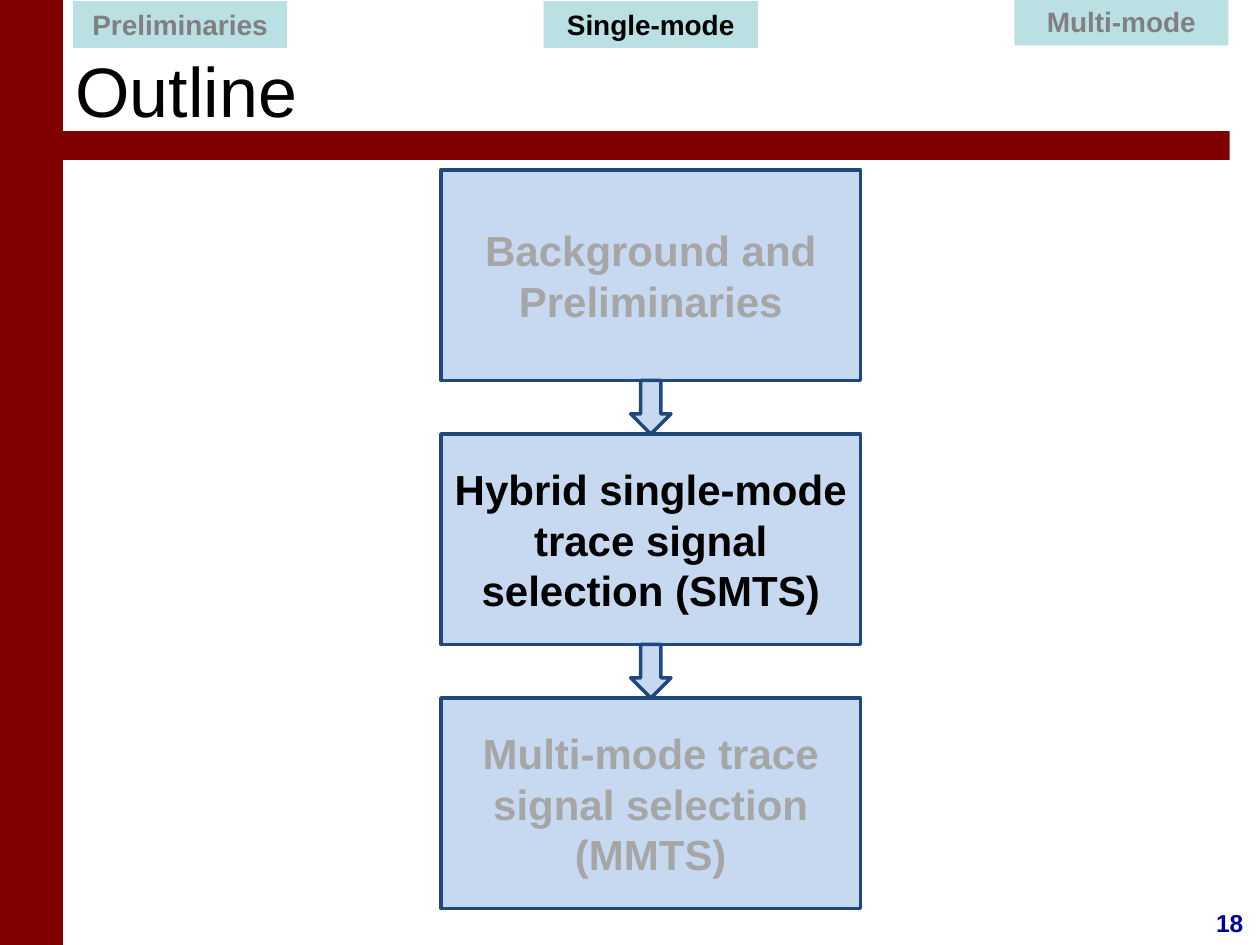
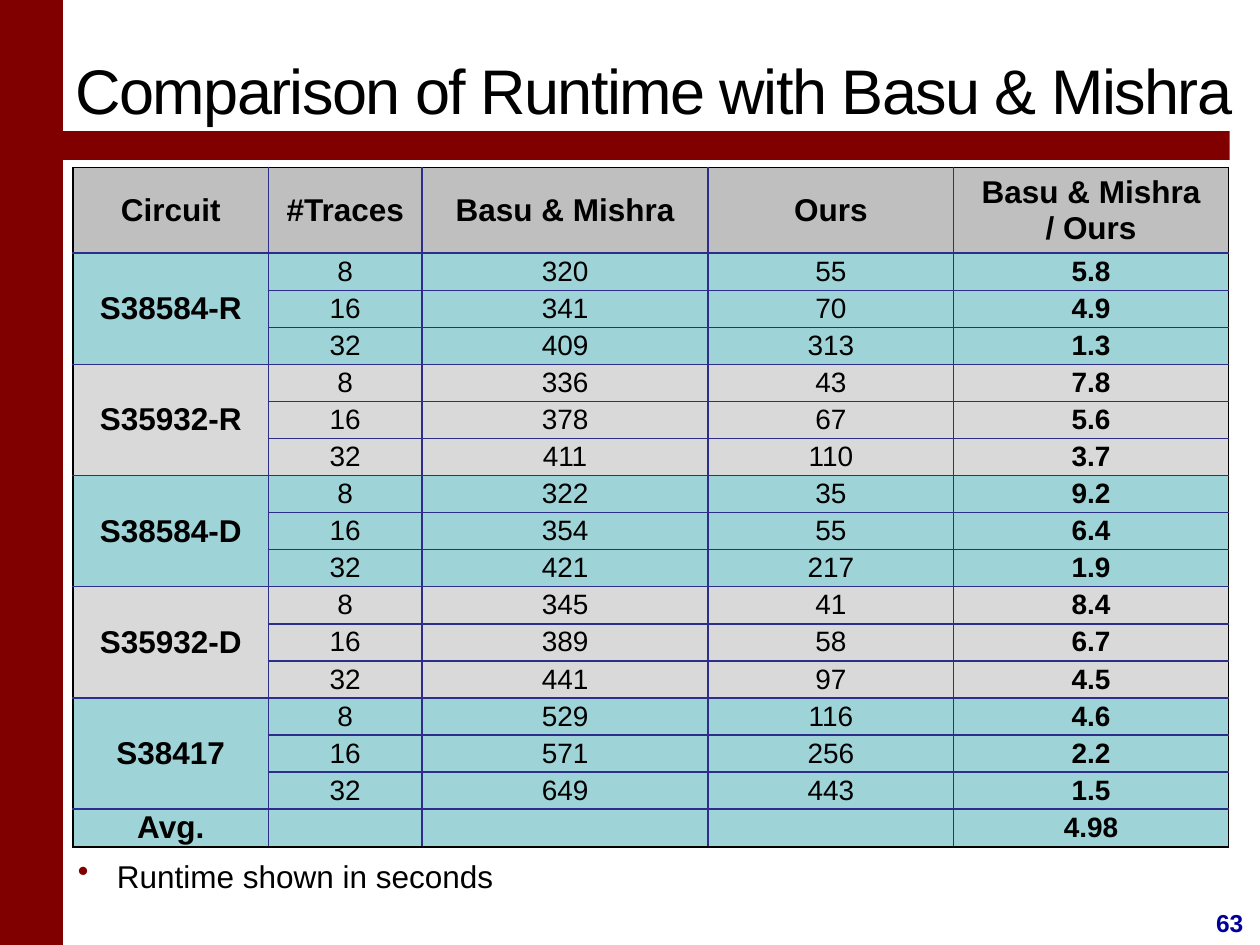
from dataclasses import dataclass

from lxml.etree import SubElement as sub
from pptx import Presentation
from pptx.dml.color import RGBColor as Rgb
from pptx.enum.shapes import MSO_SHAPE as Shape
from pptx.enum.text import MSO_ANCHOR as Anchor, PP_ALIGN as Align
from pptx.oxml.ns import qn
from pptx.util import Inches, Pt

COLS, ROWS = 100, 75


@dataclass(frozen=True)
class Theme:
    font: str = "Arial"
    band: str = "800000"
    ink: str = "000000"
    page: str = "000099"
    tab: str = "BBE0E3"
    tab_dim: str = "808080"
    box: str = "C6D9F1"
    edge: str = "1F497D"
    box_dim: str = "A6A6A6"
    head: str = "BFBFBF"
    teal: str = "9ED3D7"
    gray: str = "D9D9D9"
    rule: str = "2D2D8A"
    title_pt: int = 40
    long_pt: int = 36
    box_pt: int = 24
    body_pt: int = 18
    cell_pt: int = 16
    page_pt: int = 14


class Deck:
    """Draws on the current slide; places are (col, row, cols, rows) on the grid."""

    def __init__(self, theme):
        self.theme = theme
        self.prs = Presentation()
        self.prs.slide_width, self.prs.slide_height = Inches(10), Inches(7.5)
        self.slide = None

    def col(self, n):
        return round(self.prs.slide_width * n / COLS)

    def row(self, n):
        return round(self.prs.slide_height * n / ROWS)

    def place(self, spot):
        x, y, w, h = spot
        return self.col(x), self.row(y), self.col(w), self.row(h)

    def style(self, frame, text, size, color, bold=False, align=Align.CENTER):
        """Put text in a frame and format its runs."""
        frame.text = text
        frame.word_wrap = True
        for par in frame.paragraphs:
            par.alignment = align
            for run in par.runs:
                font = run.font
                font.name, font.size, font.bold = self.theme.font, Pt(size), bold
                font.color.rgb = Rgb.from_string(color)

    def shape(self, spot, fill, edge=None, kind=Shape.RECTANGLE):
        item = self.slide.shapes.add_shape(kind, *self.place(spot))
        item.shadow.inherit = False
        item.fill.solid()
        item.fill.fore_color.rgb = Rgb.from_string(fill)
        if edge:
            item.line.color.rgb = Rgb.from_string(edge)
            item.line.width = Pt(2)
        else:
            item.line.fill.background()
        return item

    def label(self, spot, text, size, color, **look):
        frame = self.slide.shapes.add_textbox(*self.place(spot)).text_frame
        self.style(frame, text, size, color, **look)
        return frame

    def page(self, number, title, size, width, track=0):
        """Start a slide with its bands, number and title; track is in points."""
        t = self.theme
        self.slide = self.prs.slides.add_slide(self.prs.slide_layouts[6])
        self.shape((0, 0, 5, ROWS), t.band)
        self.label((95.1, 71.6, 5, 3.3), number, t.page_pt, t.page, bold=True)
        self.shape((4.2, 10.4, 93.4, 2.3), t.band)
        frame = self.label((5, 1.7, width, 10.8), title, size, t.ink, align=Align.LEFT)
        frame.vertical_anchor = Anchor.MIDDLE
        if track:
            run = frame.paragraphs[0].runs[0]
            run._r.get_or_add_rPr().set("spc", str(round(track * 100)))

    def tab(self, spot, text, live):
        t = self.theme
        frame = self.shape(spot, t.tab).text_frame
        frame.vertical_anchor = Anchor.TOP
        self.style(frame, text, t.cell_pt, t.ink if live else t.tab_dim, bold=True)

    def box(self, spot, text, live):
        t = self.theme
        frame = self.shape(spot, t.box, t.edge).text_frame
        frame.vertical_anchor = Anchor.MIDDLE
        self.style(frame, text, t.box_pt, t.ink if live else t.box_dim, bold=True)

    def arrow(self, spot):
        self.shape(spot, self.theme.box, self.theme.edge, Shape.DOWN_ARROW)

    def bullet(self, spot, text):
        t = self.theme
        par = self.label(spot, text, t.body_pt, t.ink, align=Align.LEFT).paragraphs[0]
        props = par._p.get_or_add_pPr()
        props.set("marL", str(Inches(0.31)))
        props.set("indent", str(-Inches(0.31)))
        sub(sub(props, qn("a:buClr")), qn("a:srgbClr"), val=t.band)
        sub(props, qn("a:buChar"), char="•")

    def cell(self, cell, text, size, fill, bold, rims):
        """Fill one cell; rims names the sides on the table's outer edge."""
        t = self.theme
        cell.margin_left = cell.margin_right = Inches(0.01)
        cell.margin_top = cell.margin_bottom = 0
        cell.vertical_anchor = Anchor.MIDDLE
        self.style(cell.text_frame, text, size, t.ink, bold)
        if not text:
            sub(cell.text_frame.paragraphs[0]._p, qn("a:endParaRPr"), sz=str(size * 100))
        props = cell._tc.get_or_add_tcPr()
        for side in "LRTB":
            line = sub(props, qn(f"a:ln{side}"), w=str(Pt(1)))
            color = t.ink if side in rims else t.rule
            sub(sub(line, qn("a:solidFill")), qn("a:srgbClr"), val=color)
        cell.fill.solid()
        cell.fill.fore_color.rgb = Rgb.from_string(fill)

    def table(self, spot, widths, top, data, group):
        """Draw a table whose first column is merged over each group of rows."""
        t = self.theme
        last, end = len(data) - 1, len(widths) - 1
        grid = self.slide.shapes.add_table(len(data), len(widths), *self.place(spot)).table
        grid.first_row = grid.horz_banding = False
        for col, width in zip(grid.columns, widths):
            col.width = self.col(width)
        for r, line in enumerate(data):
            grid.rows[r].height = self.row((spot[3] - top) / last if r else top)
            block = (r - 1) // group
            fill = t.head if r == 0 else t.gray if block % 2 and r < last else t.teal
            for c, text in enumerate(line):
                rims = "".join(side for side, edge in zip(
                    "LRTB", (c == 0, c == end, r == 0, r == last)) if edge)
                size = t.body_pt if r == 0 or c == 0 else t.cell_pt
                bold = r == 0 or c in (0, end)
                self.cell(grid.cell(r, c), text, size, fill, bold, rims)
        for r in range(1, last, group):
            grid.cell(r, 0).merge(grid.cell(r + group - 1, 0))


TABS = (("Preliminaries", 0.1), ("Single-mode", 0.1), ("Multi-mode", -0.1))
STEPS = (
    "Background and Preliminaries",
    "Hybrid single-mode trace signal selection (SMTS)",
    "Multi-mode trace signal selection (MMTS)",
)
HEAD = ("Circuit", "#Traces", "Basu & Mishra", "Ours", "Basu & Mishra\n/ Ours")
TRACES = ("8", "16", "32")
TIMES = {
    "S38584-R": (("320", "55", "5.8"), ("341", "70", "4.9"), ("409", "313", "1.3")),
    "S35932-R": (("336", "43", "7.8"), ("378", "67", "5.6"), ("411", "110", "3.7")),
    "S38584-D": (("322", "35", "9.2"), ("354", "55", "6.4"), ("421", "217", "1.9")),
    "S35932-D": (("345", "41", "8.4"), ("389", "58", "6.7"), ("441", "97", "4.5")),
    "S38417": (("529", "116", "4.6"), ("571", "256", "2.2"), ("649", "443", "1.5")),
}


def outline(deck):
    live = 1
    deck.page("18", "Outline", deck.theme.title_pt, 91.7)
    for i, (name, top) in enumerate(TABS):
        deck.tab((5.8 + i * 37.35, top, 17, 3.7), name, i == live)
    left, top, wide, high, pitch = 35, 13.5, 33.3, 16.7, 20.95
    for i, step in enumerate(STEPS):
        deck.box((left, top + i * pitch, wide, high), step, i == live)
    for i in range(len(STEPS) - 1):
        deck.arrow((left + (wide - 3.2) / 2, top + high + i * pitch, 3.2, pitch - high))


def runtime(deck):
    deck.page("63", "Comparison of Runtime with Basu & Mishra",
              deck.theme.long_pt, 95, track=-0.9)
    deck.bullet((5.2, 67.5, 94.2, 4), "Runtime shown in seconds")
    data = [HEAD]
    for name, lines in TIMES.items():
        for i, (trace, line) in enumerate(zip(TRACES, lines)):
            data.append(("" if i else name, trace, *line))
    data.append(("Avg.", "", "", "", "4.98"))
    deck.table((5.8, 13.3, 91.7, 53.9), (15.5, 12.2, 22.7, 19.5, 21.8),
               6.8, data, len(TRACES))


def main():
    deck = Deck(Theme())
    outline(deck)
    runtime(deck)
    deck.prs.save("out.pptx")


if __name__ == "__main__":
    main()
